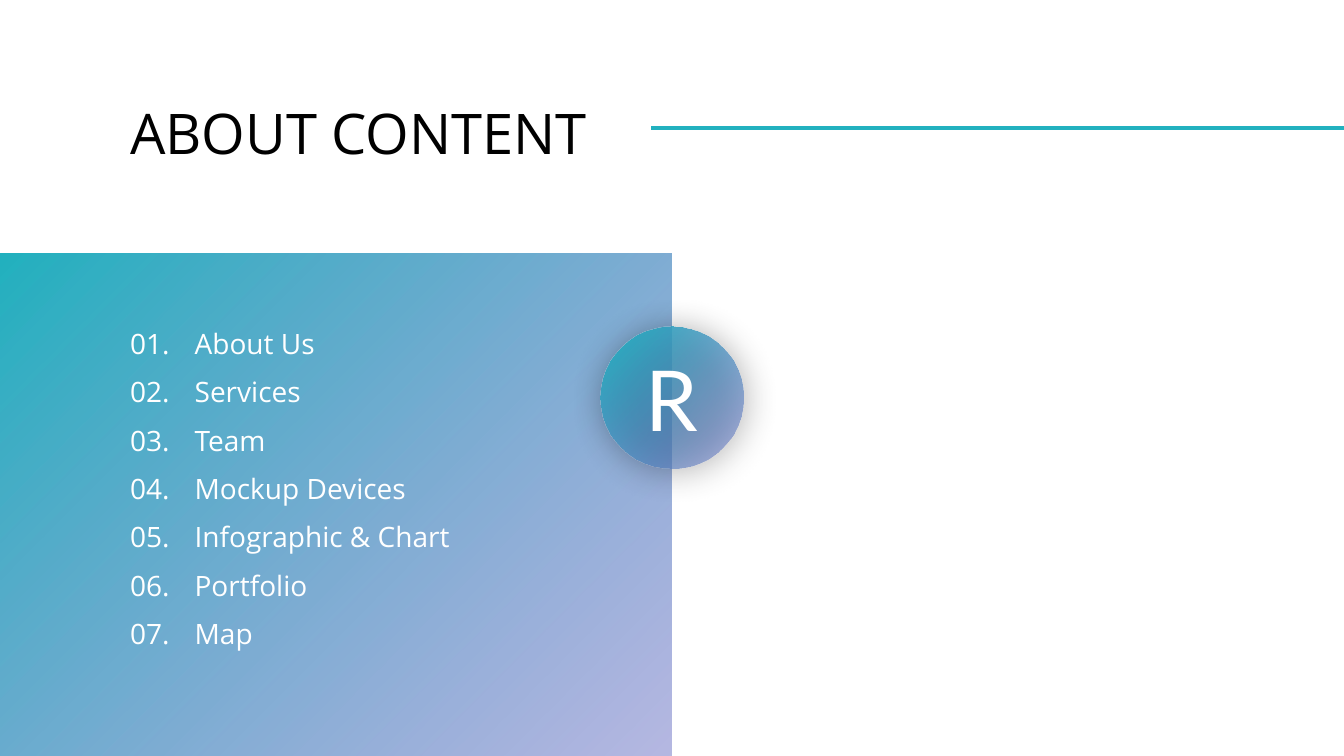
from lxml import etree
from pptx import Presentation
from pptx.dml.color import RGBColor
from pptx.enum.shapes import MSO_CONNECTOR, MSO_SHAPE
from pptx.enum.text import MSO_ANCHOR, MSO_AUTO_SIZE, PP_ALIGN
from pptx.oxml.ns import qn
from pptx.util import Inches, Pt

COLOURS = {"teal": "22B1BF", "violet": "6B71C5", "black": "000000", "white": "FFFFFF"}
STRAIGHT = MSO_CONNECTOR.STRAIGHT
RECTANGLE, OVAL = MSO_SHAPE.RECTANGLE, MSO_SHAPE.OVAL
TOP, MIDDLE = MSO_ANCHOR.TOP, MSO_ANCHOR.MIDDLE
LEFT, CENTER = PP_ALIGN.LEFT, PP_ALIGN.CENTER
NO_FIT = MSO_AUTO_SIZE.NONE
WIDTH, HEIGHT = 13.33, 7.5
MARGIN = 1.29
SECTIONS = ["About Us", "Services", "Team", "Mockup Devices",
            "Infographic & Chart", "Portfolio", "Map"]


def place(shape, left, top, width, height):
    """Move a shape to a box given in inches."""
    shape.left, shape.top = Inches(left), Inches(top)
    shape.width, shape.height = Inches(width), Inches(height)


def add_child(parent, tag, **attributes):
    """Append a drawing element with the given attributes."""
    child = etree.SubElement(parent, qn(tag))
    for name, value in attributes.items():
        child.set(name, str(value))
    return child


def write(shape, lines, size, colour, font="Open Sans", align=LEFT, anchor=TOP,
          wrap=True, gap=0, hanging=None):
    """Fill a shape with formatted paragraphs."""
    frame = shape.text_frame
    frame.auto_size, frame.word_wrap, frame.vertical_anchor = NO_FIT, wrap, anchor
    frame.margin_left = frame.margin_right = frame.margin_top = frame.margin_bottom = 0
    frame.text = "\n".join(lines)
    for index, para in enumerate(frame.paragraphs):
        if hanging:
            properties = para._p.get_or_add_pPr()
            properties.set("marL", str(Inches(hanging)))
            properties.set("indent", str(Inches(-hanging)))
            add_child(properties, "a:buNone")
        para.alignment = align
        para.line_spacing = 1.0
        para.space_before = Pt(gap if index else 0)
        para.font.name, para.font.size = font, Pt(size)
        para.font.color.rgb = RGBColor.from_string(COLOURS[colour])


def add_gradient_shape(page, kind, left, top, width, height):
    """Add a shape that fades from teal to half-clear violet."""
    shape = page.shapes.add_shape(kind, Inches(left), Inches(top),
                                  Inches(width), Inches(height))
    shape.shadow.inherit = False
    shape.line.fill.background()
    shape.fill.gradient()
    shape.fill.gradient_angle = 315
    for stop, colour in zip(shape.fill.gradient_stops, ("teal", "violet")):
        stop.color.rgb = RGBColor.from_string(COLOURS[colour])
    violet = list(shape._element.spPr.iter(qn("a:srgbClr")))[-1]
    add_child(violet, "a:alpha", val=50000)
    return shape


def add_header(page, left, top, width, height):
    """Place the title and the rule that runs to the right edge."""
    title = page.shapes.title
    place(title, left, top, width, height)
    write(title, ["ABOUT CONTENT"], 40, "black", wrap=False)
    level = Inches(top + 0.29)
    rule = page.shapes.add_connector(STRAIGHT, Inches(left + 5.17), level,
                                     Inches(WIDTH), level)
    rule.line.color.rgb = RGBColor.from_string(COLOURS["teal"])
    rule.line.width = Pt(2.25)
    add_child(rule._element.spPr, "a:effectLst")


def add_contents(page, left, top, width, height):
    """Place the gradient panel and the numbered list on it."""
    panel = add_gradient_shape(page, RECTANGLE, left, top, width, height)
    page.shapes._spTree.insert(2, panel._element)
    listing = page.placeholders[1]
    place(listing, left + MARGIN, top + 0.72, 4, 3.26)
    lines = [f"{number:02}.\t{name}" for number, name in enumerate(SECTIONS, 1)]
    write(listing, lines, 20, "white", gap=10.5, hanging=0.64)


def add_badge(page, left, top, size):
    """Place the round letter badge with its soft shadow."""
    badge = add_gradient_shape(page, OVAL, left, top, size, size)
    effects = badge._element.spPr.find(qn("a:effectLst"))
    shadow = add_child(effects, "a:outerShdw", blurRad=Pt(26), dist=Pt(3),
                       dir=45 * 60000, algn="tl", rotWithShape=0)
    colour = add_child(shadow, "a:srgbClr", val=COLOURS["black"])
    add_child(colour, "a:alpha", val=44000)
    write(badge, ["R"], 60, "white", font="Lato", align=CENTER, anchor=MIDDLE)


def main():
    """Build the contents slide and save it."""
    deck = Presentation()
    deck.slide_width, deck.slide_height = Inches(WIDTH), Inches(HEIGHT)
    page = deck.slides.add_slide(deck.slide_layouts[1])
    add_contents(page, 0, 2.52, WIDTH / 2, HEIGHT - 2.52)
    add_header(page, MARGIN, 0.98, 4.68, 0.67)
    add_badge(page, 5.96, 3.24, 1.41)
    deck.save("out.pptx")


if __name__ == "__main__":
    main()
